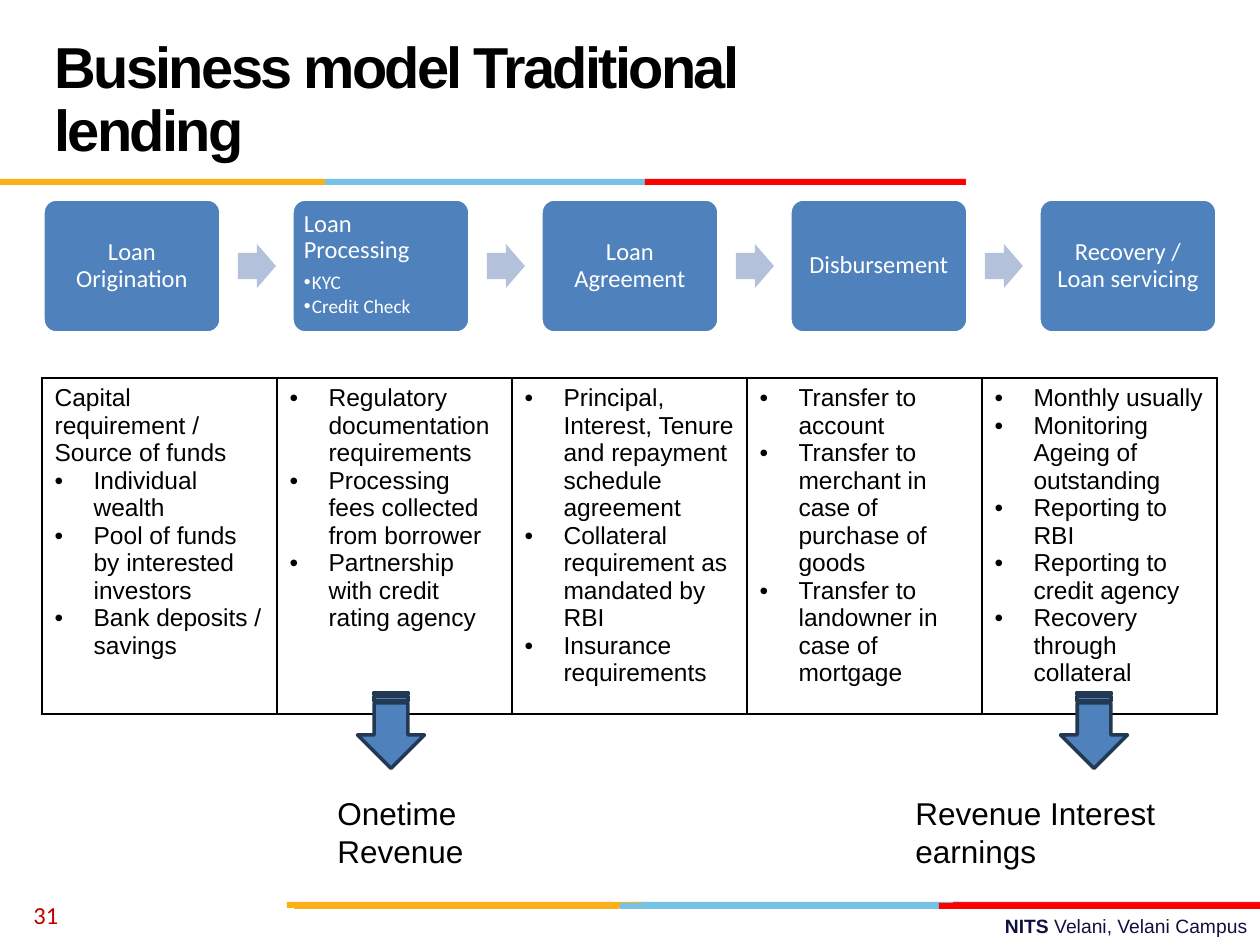
from lxml import etree
from pptx import Presentation
from pptx.dml.color import RGBColor
from pptx.enum.shapes import MSO_SHAPE
from pptx.enum.text import MSO_ANCHOR, PP_ALIGN
from pptx.oxml.ns import qn
from pptx.util import Pt

PX = 914400 // 126
LEFT, CENTER, RIGHT = PP_ALIGN.LEFT, PP_ALIGN.CENTER, PP_ALIGN.RIGHT
TOP, MIDDLE = MSO_ANCHOR.TOP, MSO_ANCHOR.MIDDLE
RECT, ROUNDED = MSO_SHAPE.RECTANGLE, MSO_SHAPE.ROUNDED_RECTANGLE
ARROW, STRIPED = MSO_SHAPE.RIGHT_ARROW, MSO_SHAPE.STRIPED_RIGHT_ARROW

BLACK = RGBColor(0x00, 0x00, 0x00)
WHITE = RGBColor(0xFF, 0xFF, 0xFF)
GOLD = RGBColor(0xFC, 0xB0, 0x17)
SKY = RGBColor(0x76, 0xC2, 0xE5)
RED = RGBColor(0xFF, 0x00, 0x00)
CRIMSON = RGBColor(0xE3, 0x1C, 0x24)
BLUE = RGBColor(0x4F, 0x81, 0xBD)
PALE_BLUE = RGBColor(0xB3, 0xC1, 0xDB)
DARK_BLUE = RGBColor(0x23, 0x39, 0x53)
NAVY = RGBColor(0x10, 0x11, 0x41)
NUMBER_RED = RGBColor(0xC0, 0x00, 0x00)

deck = Presentation()
deck.slide_width, deck.slide_height = 1260 * PX, 945 * PX
page = deck.slides.add_slide(deck.slide_layouts[6])


def add_block(kind, left, top, width, height, fill, line=None):
    block = page.shapes.add_shape(kind, left * PX, top * PX, width * PX, height * PX)
    block.shadow.inherit = False
    block.fill.solid()
    block.fill.fore_color.rgb = fill
    if line is None:
        block.line.fill.background()
    else:
        block.line.color.rgb = line
        block.line.width = Pt(2)
    return block


def write(frame, lines, size, color=BLACK, font="Arial", bold=False, align=LEFT, indent=39):
    """Fill a text frame; a line that starts with a bullet gets a hanging indent in px."""
    frame.word_wrap = True
    for number, line in enumerate(lines):
        para = frame.paragraphs[0] if number == 0 else frame.add_paragraph()
        para.alignment = align
        span = para.add_run()
        span.text = line.removeprefix("•")
        span.font.color.rgb = color
        for name, value in {"name": font, "size": Pt(size), "bold": bold}.items():
            setattr(span.font, name, value)
        if line.startswith("•"):
            props = para._p.get_or_add_pPr()
            props.set("marL", str(indent * PX))
            props.set("indent", str(-indent * PX))
            etree.SubElement(props, qn("a:buFont"), typeface="Arial")
            etree.SubElement(props, qn("a:buChar"), char="•")


# Colour bands under the title and above the footer
bands = [
    (638, 902, 321, SKY), (953, 902, 307, CRIMSON), (287, 902, 355, GOLD),
    (620, 903, 321, SKY), (294, 903, 325, GOLD), (939, 903, 321, RED),
    (325, 179, 321, SKY), (0, 179, 325, GOLD), (645, 179, 321, RED),
]
for left, top, width, color in bands:
    add_block(RECT, left, top, width, 6, color)

# Title, page number, footer and revenue labels
texts = [
    (42, 21, 872, 158, MIDDLE, "Business model Traditional lending", {"size": 33, "bold": True}),
    (21, 890, 294, 50, MIDDLE, "31", {"size": 14, "color": NUMBER_RED, "font": "Calibri"}),
    (451, 908, 809, 37, TOP, "NITS ", {"size": 11, "color": NAVY, "bold": True, "align": RIGHT}),
    (325, 788, 158, 89, TOP, "Onetime Revenue", {"size": 18}),
    (903, 788, 315, 89, TOP, "Revenue Interest earnings", {"size": 18}),
]
boxes = []
for left, top, width, height, anchor, words, style in texts:
    box = page.shapes.add_textbox(left * PX, top * PX, width * PX, height * PX)
    box.text_frame.vertical_anchor = anchor
    write(box.text_frame, [words], **style)
    boxes.append(box)

title = boxes[0].text_frame.paragraphs[0]
title.line_spacing = Pt(36)
title.runs[0].font._element.set("spc", "-150")

campus = boxes[2].text_frame.paragraphs[0].add_run()
campus.text = "Velani, Velani Campus"
campus.font.color.rgb = NAVY
for name, value in {"name": "Arial", "size": Pt(11), "bold": False}.items():
    setattr(campus.font, name, value)

# Process steps
steps = [
    ["Loan Origination"],
    ["Loan Processing", "•KYC", "•Credit Check"],
    ["Loan Agreement"],
    ["Disbursement"],
    ["Recovery / Loan servicing"],
]
STEP_PITCH = 249
for index, lines in enumerate(steps):
    detailed = len(lines) > 1
    step = add_block(ROUNDED, 43 + index * STEP_PITCH, 199, 178, 134, BLUE, WHITE)
    step.adjustments[0] = 0.1
    frame = step.text_frame
    for side in ("left", "top", "right", "bottom"):
        setattr(frame, f"margin_{side}", 8 * PX)
    frame.vertical_anchor = TOP if detailed else MIDDLE
    write(frame, lines, 14, WHITE, "Calibri", align=LEFT if detailed else CENTER, indent=8)
    for number, para in enumerate(frame.paragraphs):
        para.line_spacing = 0.9
        para.space_after = Pt(2 if number else 5)
        if number:
            para.level = 1
            para.runs[0].font.size = Pt(11)
    if index < len(steps) - 1:
        arrow = add_block(ARROW, 238 + index * STEP_PITCH, 244, 38, 44, PALE_BLUE)
        arrow.adjustments[0] = 0.6

# Details of each step
details = [
    ["Capital requirement / Source of funds", "•Individual wealth",
     "•Pool of funds by interested investors", "•Bank deposits / savings"],
    ["•Regulatory documentation requirements", "•Processing fees collected from borrower",
     "•Partnership with credit rating agency"],
    ["•Principal, Interest, Tenure and repayment schedule agreement",
     "•Collateral requirement as mandated by RBI", "•Insurance requirements"],
    ["•Transfer to account", "•Transfer to merchant in case of purchase of goods",
     "•Transfer to landowner in case of mortgage"],
    ["•Monthly usually", "•Monitoring Ageing of outstanding", "•Reporting to RBI",
     "•Reporting to credit agency", "•Recovery through collateral"],
]
table = page.shapes.add_table(1, len(details), 42 * PX, 378 * PX, 1175 * PX, 336 * PX).table
table.first_row = table.horz_banding = False
for index, lines in enumerate(details):
    table.columns[index].width = 235 * PX
    cell = table.cell(0, index)
    write(cell.text_frame, lines, 14)
    props = cell._tc.get_or_add_tcPr()
    for edge in ("a:lnL", "a:lnR", "a:lnT", "a:lnB"):
        border = etree.SubElement(props, qn(edge), w=str(Pt(1)))
        ink = etree.SubElement(border, qn("a:solidFill"))
        etree.SubElement(ink, qn("a:srgbClr"), val=str(BLACK))
    cell.fill.solid()
    cell.fill.fore_color.rgb = WHITE

# Arrows down to the revenue labels
for left in (353, 1056):
    add_block(STRIPED, left, 697, 76, 67, BLUE, DARK_BLUE).rotation = 90

deck.save("out.pptx")
